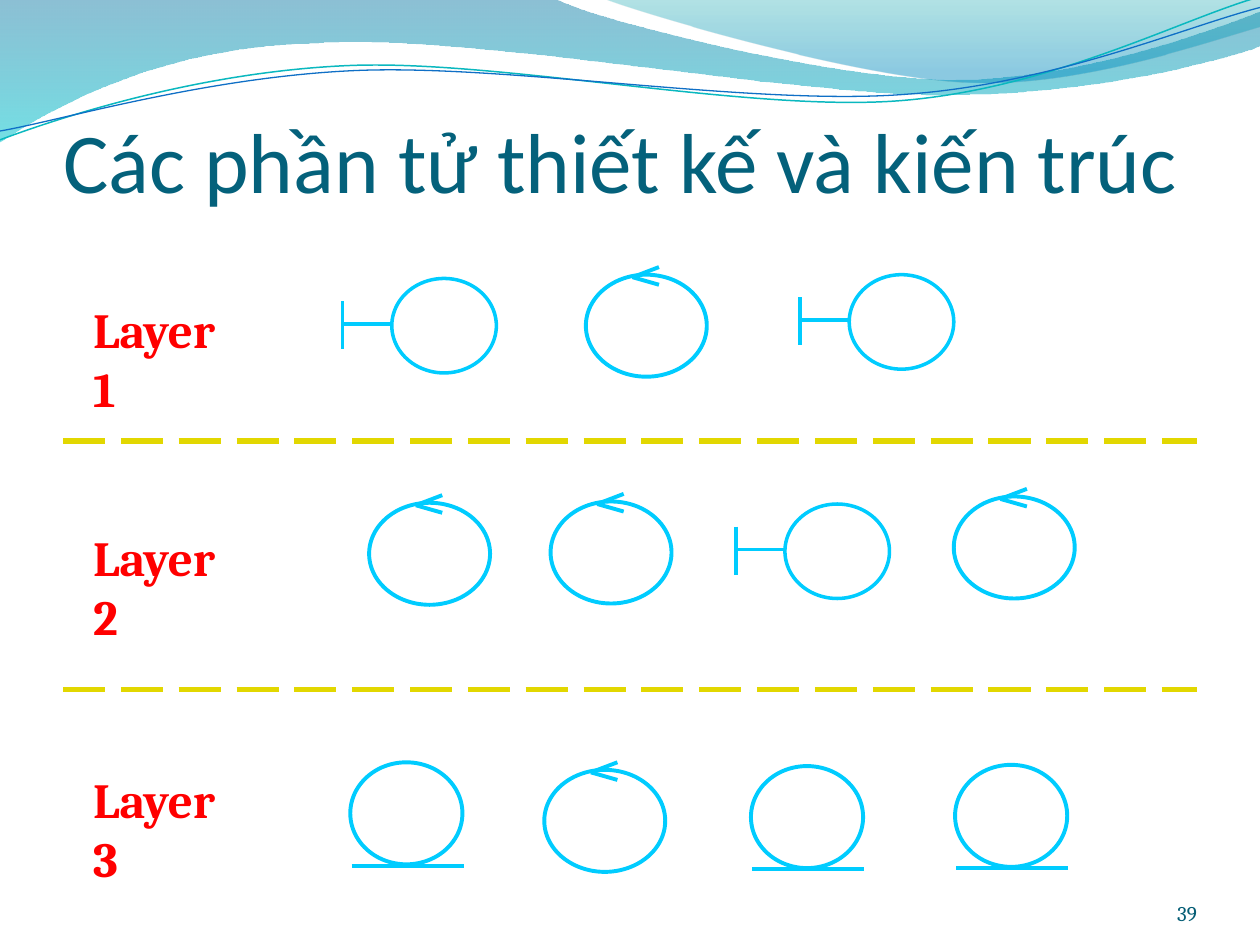
"""Build a slide of design elements arranged in three architecture layers."""
import math
from dataclasses import dataclass

from lxml import etree
from pptx import Presentation
from pptx import util as u
from pptx.dml.color import RGBColor
from pptx.enum import dml, shapes, text
from pptx.oxml.ns import qn


@dataclass(frozen=True)
class Theme:
    title: str = "04617B"
    number: str = "045D75"
    label: str = "FF0000"
    divider: str = "E2D700"
    symbol: str = "00CCFF"
    heading_font: str = "Calibri"
    body_font: str = "Cambria"
    title_size: float = 48.6
    label_size: float = 28
    number_size: float = 12


THEME = Theme()
TITLE = "Các phần tử thiết kế và kiến trúc"
PAGE_NUMBER = "39"
LAYERS = [
    ("Layer 1", 2.32, [("boundary", 3.11, 2.21), ("control", 4.65, 2.18),
                       ("boundary", 6.74, 2.18)]),
    ("Layer 2", 4.13, [("control", 2.93, 3.99), ("control", 4.37, 3.98),
                       ("boundary", 6.23, 4.0), ("control", 7.57, 3.94)]),
    ("Layer 3", 6.05, [("entity", 2.78, 6.05), ("control", 4.32, 6.11),
                       ("entity", 5.96, 6.08), ("entity", 7.58, 6.07)]),
]
DIVIDERS = [3.5, 5.47]

# Each symbol: circle width, circle height, line weight, strokes from its corner
SYMBOLS = {
    "boundary": (0.83, 0.75, 2, [(-0.39, 0.18, -0.39, 0.56), (-0.38, 0.36, 0, 0.36)]),
    "control": (0.96, 0.81, 2.25, [(0.58, -0.06, 0.37, 0.02), (0.58, 0.08, 0.37, 0.02)]),
    "entity": (0.89, 0.81, 2.25, [(0.01, 0.82, 0.9, 0.82)]),
}
BANDS = [
    ([(0, 0), (4.4, -0.01), (4.76, 0.17, 6.64, 0.63, 7.58, 0.63),
      (8.53, 0.63, 9.58, 0.26, 10, 0.09), (10.01, 0.36),
      (9.83, 0.44, 8.7, 0.76, 7.46, 0.75), (6.22, 0.75, 3.82, 0.28, 2.57, 0.34),
      (1.29, 0.36, 0.46, 0.83, -0.01, 1.13)],
     [(0, "0074A1", 45), (1, "00C6CF", 55)]),
    ([(4.79, -0.01), (5.09, 0.11, 6.82, 0.62, 7.69, 0.65),
      (8.56, 0.69, 9.61, 0.32, 10, 0.21), (10, 0)],
     [(0, "00A1A9", 30), (0.8, "008BBF", 45)]),
]
WAVES = [
    ([(0, 1.11), (0.48, 0.93, 1.58, 0.57, 2.77, 0.52),
      (3.95, 0.47, 5.93, 0.89, 7.13, 0.8), (8.33, 0.71, 9.38, 0.15, 9.98, -0.02)],
     (4.99, 0.58), "0AB8BF", 0.85),
    ([(0, 1.04), (0.47, 0.96, 1.64, 0.61, 2.83, 0.56),
      (4.03, 0.51, 5.97, 0.84, 7.17, 0.75), (8.36, 0.67, 9.41, 0.21, 10, 0.06)],
     (5, 0.59), "0F6FC6", 0.75),
]
WAVE_TILT = -2.7


def inch(value):
    return u.Cm(value * 2.54)


def rgb(code):
    return RGBColor.from_string(code)


def set_line(shape, color, weight):
    shape.line.color.rgb = rgb(color)
    shape.line.width = u.Pt(weight)


def turn(x, y, center, degrees):
    angle = math.radians(degrees)
    dx, dy = x - center[0], y - center[1]
    return (center[0] + dx * math.cos(angle) - dy * math.sin(angle),
            center[1] + dx * math.sin(angle) + dy * math.cos(angle))


def add_outline(parent, segments, close, center=(0, 0), tilt=0):
    points = [turn(x, y, center, -tilt)
              for segment in segments for x, y in zip(segment[::2], segment[1::2])]
    start, *rest = [(inch(x), inch(y)) for x, y in points]
    builder = parent.shapes.build_freeform(*start)
    builder.add_line_segments(rest, close=close)
    outline = builder.convert_to_shape()
    outline.shadow.inherit = False
    outline.rotation = tilt
    lines = iter(list(outline.element.iter(qn("a:lnTo"))))
    for segment in segments[1:]:
        first = next(lines)
        if len(segment) == 2:
            continue
        curve = etree.Element(qn("a:cubicBezTo"))
        first.addprevious(curve)
        for line in (first, next(lines), next(lines)):
            curve.append(line[0])
            line.getparent().remove(line)
    return outline


def add_band(page, segments, stops):
    band = add_outline(page, segments, True)
    band.line.fill.background()
    band.fill.gradient()
    band.fill.gradient_angle = 270
    for stop, (position, color, _) in zip(band.fill.gradient_stops, stops):
        stop.position = position
        stop.color.rgb = rgb(color)
    colors = band.element.spPr.iter(qn("a:srgbClr"))
    for color, (_, _, opacity) in zip(colors, stops):
        etree.SubElement(color, qn("a:alpha"), val=str(opacity * 1000))
    return band


def add_waves(page):
    group = page.shapes.add_group_shape()
    for segments, center, color, weight in WAVES:
        wave = add_outline(group, segments, False, center, WAVE_TILT)
        wave.fill.background()
        set_line(wave, color, weight)
    return group


def move_to_master(master, parts):
    tree = master.placeholders[0].element.getparent()
    for index, part in enumerate(parts, 2):
        tree.insert(index, part.element)
    for number, node in enumerate(tree.iter(qn("p:cNvPr")), 1):
        node.set("id", str(number))


def add_line(parent, x1, y1, x2, y2, color, weight):
    line = parent.shapes.add_connector(
        shapes.MSO_CONNECTOR.STRAIGHT, inch(x1), inch(y1), inch(x2), inch(y2))
    set_line(line, color, weight)
    etree.SubElement(line.element.spPr, qn("a:effectLst"))
    return line


def add_symbol(parent, kind, left, top):
    width, height, weight, strokes = SYMBOLS[kind]
    circle = parent.shapes.add_shape(
        shapes.MSO_SHAPE.OVAL, inch(left), inch(top), inch(width), inch(height))
    circle.shadow.inherit = False
    circle.fill.background()
    set_line(circle, THEME.symbol, weight)
    for x1, y1, x2, y2 in strokes:
        add_line(parent, left + x1, top + y1, left + x2, top + y2, THEME.symbol, weight)


def write(box, words, font, size, color, insets=(0, 0, 0, 0), bold=False,
          align=text.PP_ALIGN.LEFT, anchor=text.MSO_ANCHOR.BOTTOM):
    frame = box.text_frame
    frame.text = words
    frame.word_wrap = True
    frame.auto_size = text.MSO_AUTO_SIZE.NONE
    frame.vertical_anchor = anchor
    (frame.margin_left, frame.margin_top,
     frame.margin_right, frame.margin_bottom) = map(inch, insets)
    para = frame.paragraphs[0]
    para.alignment = align
    span = para.runs[0]
    span.font.name = font
    span.font.size = u.Pt(size)
    span.font.bold = bold
    span.font.color.rgb = rgb(color)


def add_text(parent, place, *args, **kwargs):
    write(parent.shapes.add_textbox(*map(inch, place)), *args, **kwargs)


deck = Presentation()
deck.slide_width, deck.slide_height = inch(10), inch(7.5)
page = deck.slides.add_slide(deck.slide_layouts[5])
bands = [add_band(page, *band) for band in BANDS]
move_to_master(deck.slide_master, [*bands, add_waves(page)])

title = page.shapes.title
title.left, title.top, title.width, title.height = map(inch, (0.5, 0.77, 9, 0.9))
write(title, TITLE, THEME.heading_font, THEME.title_size, THEME.title,
      insets=(0, 0.05, 0, 0))
add_text(page, (8.67, 6.95, 0.83, 0.4), PAGE_NUMBER, THEME.body_font,
         THEME.number_size, THEME.number, align=text.PP_ALIGN.RIGHT)

diagram = page.shapes.add_group_shape()
for y in DIVIDERS:
    divider = add_line(diagram, 0.5, y, 9.5, y, THEME.divider, 3)
    divider.line.dash_style = dml.MSO_LINE.LONG_DASH
for label, top, symbols in LAYERS:
    add_text(diagram, (0.63, top, 1.36, 0.52), label, THEME.body_font, THEME.label_size,
             THEME.label, insets=(0.11, 0.06, 0.11, 0.06), bold=True,
             anchor=text.MSO_ANCHOR.TOP)
    for kind, left, symbol_top in symbols:
        add_symbol(diagram, kind, left, symbol_top)

deck.save("out.pptx")
